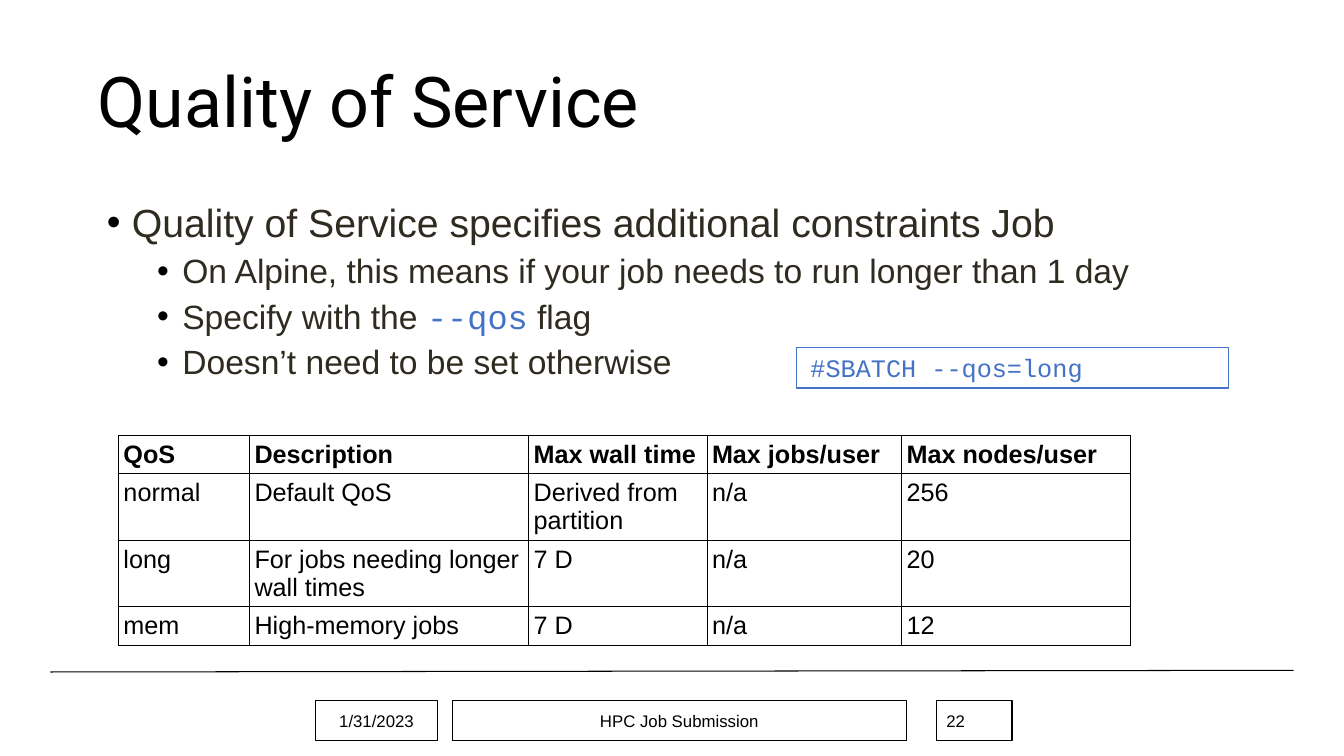
from lxml import etree
from pptx import Presentation
from pptx.dml.color import RGBColor
from pptx.enum.shapes import MSO_CONNECTOR, MSO_SHAPE
from pptx.enum.text import MSO_ANCHOR, MSO_AUTO_SIZE, PP_ALIGN
from pptx.oxml.ns import qn
from pptx.util import Pt

LEFT, CENTER = PP_ALIGN.LEFT, PP_ALIGN.CENTER
TOP, MIDDLE = MSO_ANCHOR.TOP, MSO_ANCHOR.MIDDLE
BLACK = RGBColor(0x00, 0x00, 0x00)
BROWN = RGBColor(0x2F, 0x2B, 0x20)
BLUE = RGBColor(0x44, 0x72, 0xC4)
SANS, MONO, HEADING = "Arial", "Courier New", "Roboto"

# Content
TITLE = "Quality of Service"
BULLETS = [  # level, runs of (text, is code)
    (0, [("Quality of Service specifies additional constraints Job", False)]),
    (1, [("On Alpine, this means if your job needs to run longer than 1 day", False)]),
    (1, [("Specify with the ", False), ("--qos", True), (" flag", False)]),
    (1, [("Doesn’t need to be set otherwise", False)]),
]
BULLET_STYLE = {0: (28, 21, 0), 1: (24, 57, 6.5)}  # size, indent, space before
DIRECTIVE = "#SBATCH --qos=long"
QOS_ROWS = [
    ("QoS", "Description", "Max wall time", "Max jobs/user", "Max nodes/user"),
    ("normal", "Default QoS", "Derived from partition", "n/a", "256"),
    ("long", "For jobs needing longer wall times", "7 D", "n/a", "20"),
    ("mem", "High-memory jobs", "7 D", "n/a", "12"),
]
COLUMN_WIDTHS = [93.6, 199.4, 127.4, 139, 163.4]
ROW_HEIGHTS = [27, 47, 47, 27]
FOOTER = [  # text, left, width, alignment
    ("1/31/2023", 225.4, 87.1, CENTER),
    ("HPC Job Submission", 323.3, 324, CENTER),
    ("22", 668.9, 54, LEFT),
]


def add_run(paragraph, text, size, color, font=SANS, bold=False):
    run = paragraph.add_run()
    run.text = text
    run.font.size = Pt(size)
    run.font.name = font
    run.font.bold = bold
    run.font.color.rgb = color


def add_box(slide, left, top, width, height, line_color, anchor):
    box = slide.shapes.add_shape(MSO_SHAPE.RECTANGLE, Pt(left), Pt(top), Pt(width), Pt(height))
    box.shadow.inherit = False
    box.fill.background()
    box.line.color.rgb = line_color
    box.line.width = Pt(0.75)
    box.text_frame.vertical_anchor = anchor
    return box.text_frame.paragraphs[0]


def add_bullet(paragraph, indent):
    props = paragraph._p.get_or_add_pPr()
    props.set("marL", str(Pt(indent)))
    props.set("indent", str(Pt(-18)))
    color = etree.SubElement(props, qn("a:buClr"))
    etree.SubElement(color, qn("a:srgbClr"), val=str(BLACK))
    etree.SubElement(props, qn("a:buFont"), typeface=SANS)
    etree.SubElement(props, qn("a:buChar"), char="•")


def add_borders(cell):
    props = cell._tc.get_or_add_tcPr()
    for position, side in enumerate(("a:lnL", "a:lnR", "a:lnT", "a:lnB")):
        border = etree.Element(qn(side), w=str(Pt(0.75)))
        fill = etree.SubElement(border, qn("a:solidFill"))
        etree.SubElement(fill, qn("a:srgbClr"), val=str(BLACK))
        props.insert(position, border)


def main():
    deck = Presentation()
    deck.slide_width, deck.slide_height = Pt(960), Pt(540)
    slide = deck.slides.add_slide(deck.slide_layouts[5])

    # Footer rule
    rule = slide.shapes.add_connector(MSO_CONNECTOR.STRAIGHT, Pt(36), Pt(480), Pt(924), Pt(478.8))
    rule.line.color.rgb = BLACK
    rule.line.width = Pt(0.75)
    etree.SubElement(rule._element.spPr, qn("a:effectLst"))

    # Title
    title = slide.shapes.title
    title.left, title.top, title.width, title.height = Pt(62.6), Pt(23), Pt(828), Pt(104.4)
    title.text_frame.auto_size = MSO_AUTO_SIZE.NONE
    title.text_frame.vertical_anchor = MIDDLE
    heading = title.text_frame.paragraphs[0]
    heading.alignment = LEFT
    heading.line_spacing = 0.9
    add_run(heading, TITLE, 50, BLACK, HEADING)

    # Table of service levels
    qos_table = slide.shapes.add_table(
        len(QOS_ROWS), len(COLUMN_WIDTHS), Pt(84.6), Pt(311),
        Pt(sum(COLUMN_WIDTHS)), Pt(sum(ROW_HEIGHTS))).table
    qos_table.first_row = qos_table.horz_banding = False
    for column, width in zip(qos_table.columns, COLUMN_WIDTHS):
        column.width = Pt(width)
    for r, (height, values) in enumerate(zip(ROW_HEIGHTS, QOS_ROWS)):
        qos_table.rows[r].height = Pt(height)
        for c, value in enumerate(values):
            cell = qos_table.cell(r, c)
            cell.margin_left = cell.margin_right = Pt(3.6)
            cell.margin_top = cell.margin_bottom = Pt(3.6)
            cell.fill.background()
            add_borders(cell)
            add_run(cell.text_frame.paragraphs[0], value, 18, BLACK, bold=r == 0)

    # Footer boxes
    for text, left, width, alignment in FOOTER:
        label = add_box(slide, left, 500.4, width, 28.8, BLACK, MIDDLE)
        label.alignment = alignment
        add_run(label, text, 12, BLACK)

    # Bullets
    body = slide.shapes.add_textbox(Pt(66.2), Pt(141.8), Pt(851.8), Pt(327.6)).text_frame
    body.word_wrap = True
    for i, (level, runs) in enumerate(BULLETS):
        size, indent, space_before = BULLET_STYLE[level]
        point = body.add_paragraph() if i else body.paragraphs[0]
        point.level = level
        add_bullet(point, indent)
        point.line_spacing = 0.9
        if i:
            point.space_before = Pt(space_before)
        for text, is_code in runs:
            add_run(point, text, size, BLUE if is_code else BROWN, MONO if is_code else SANS)

    # Batch directive
    directive = add_box(slide, 568.8, 248.4, 308.9, 28.8, BLUE, TOP)
    directive.alignment = LEFT
    directive._p.get_or_add_pPr().set("marL", str(Pt(3)))
    add_run(directive, DIRECTIVE, 18, BLUE, MONO)

    deck.save("out.pptx")


if __name__ == "__main__":
    main()
